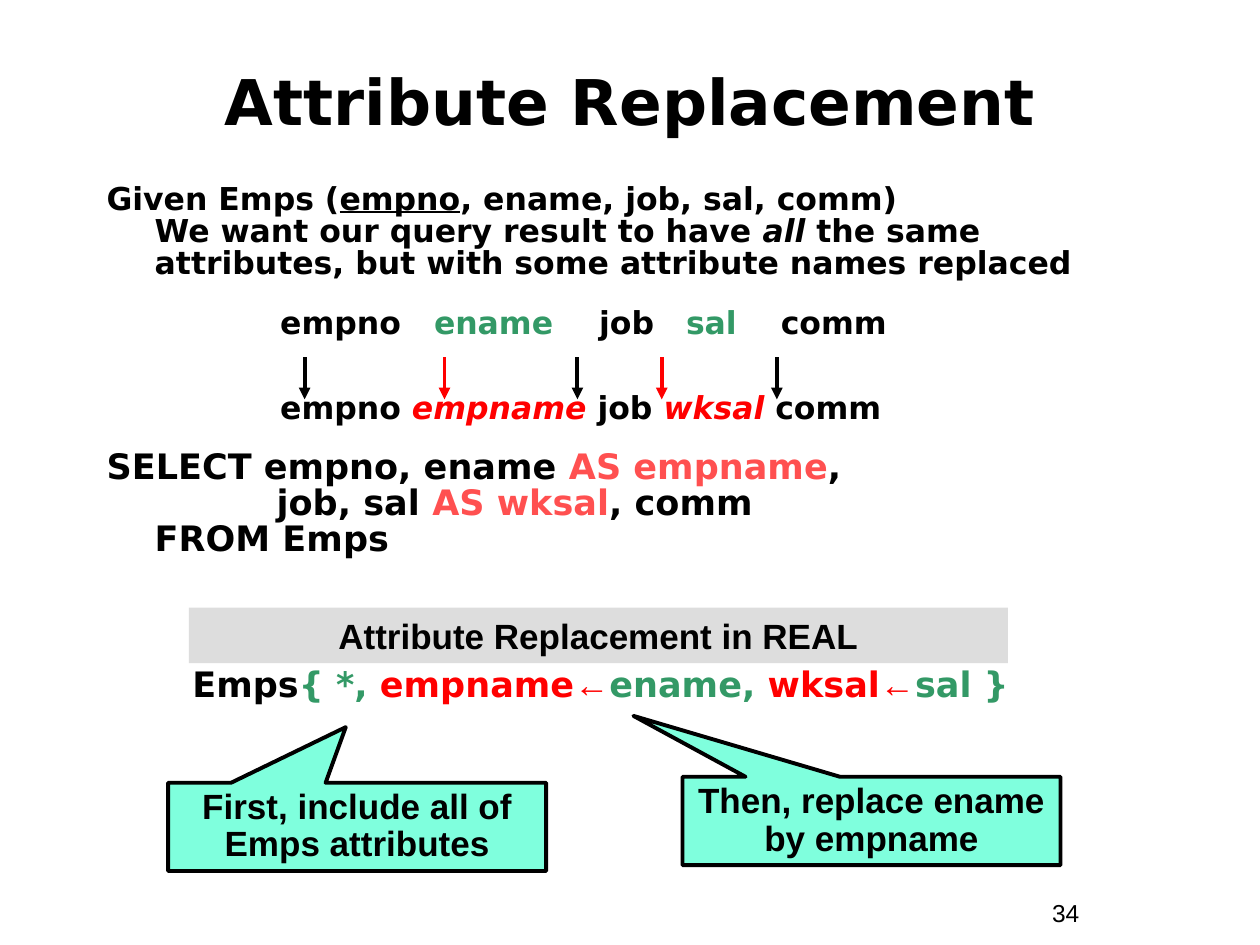
from pptx import Presentation
from pptx.dml.color import RGBColor
from pptx.enum.shapes import MSO_CONNECTOR, MSO_SHAPE
from pptx.enum.text import MSO_ANCHOR, PP_ALIGN
from pptx.oxml.ns import qn
from pptx.util import Cm, Pt
from lxml.etree import SubElement

BLACK = RGBColor(0x00, 0x00, 0x00)
GREEN = RGBColor(0x33, 0x99, 0x66)
RED = RGBColor(0xFF, 0x00, 0x00)
CORAL = RGBColor(0xFF, 0x50, 0x50)
MINT = RGBColor(0x7F, 0xFF, 0xDD)
GRAY = RGBColor(0xDD, 0xDD, 0xDD)
SANS, ARIAL = "DejaVu Sans", "Arial"


def write(shape, *runs, size=18, font=SANS, bold=True, align=PP_ALIGN.LEFT,
          anchor=MSO_ANCHOR.TOP, space=0.85, hang=0, tabs=()):
    """Fill a shape with one paragraph; a run is text or (text, changes)."""
    frame = shape.text_frame
    frame.word_wrap = True
    frame.vertical_anchor = anchor
    para = frame.paragraphs[0]
    para.alignment = align
    para.line_spacing = space
    props = para._p.get_or_add_pPr()
    if hang:
        props.set("marL", str(Cm(hang)))
        props.set("indent", str(-Cm(hang)))
    if tabs:
        stops = SubElement(props, qn("a:tabLst"))
        for stop in tabs:
            SubElement(stops, qn("a:tab"), pos=str(Cm(stop)), algn="l")
    for item in runs:
        text, look = (item, {}) if isinstance(item, str) else item
        for i, line in enumerate(text.split("\n")):
            if i:
                para.add_line_break()
            if not line:
                continue
            run = para.add_run()
            run.text = line
            run.font.size = Pt(size)
            run.font.bold = bold
            run.font.name = look.get("font", font)
            run.font.italic = look.get("italic", False)
            run.font.underline = look.get("under", False)
            run.font.color.rgb = look.get("color", BLACK)


def add_box(left, top, width, height, kind=None, fill=None):
    """Add a text box, or a filled shape without line when a kind is given."""
    place = Cm(left), Cm(top), Cm(width), Cm(height)
    if kind is None:
        return shapes.add_textbox(*place)
    box = shapes.add_shape(kind, *place)
    box.shadow.inherit = False
    box.fill.solid()
    box.fill.fore_color.rgb = fill
    box.line.fill.background()
    return box


deck = Presentation()
deck.slide_width, deck.slide_height = Cm(25.4), Cm(19.05)
slide = deck.slides.add_slide(deck.slide_layouts[6])
shapes = slide.shapes

green, red, coral = ({"color": c} for c in (GREEN, RED, CORAL))
new = {"color": RED, "italic": True}
arrow = {"color": RED, "font": ARIAL}

# Title and page number
write(add_box(0.85, 0.85, 23.7, 2.33), "Attribute Replacement", size=36,
      align=PP_ALIGN.CENTER, anchor=MSO_ANCHOR.MIDDLE, space=1)
write(add_box(20.96, 17.98, 2.33, 0.86), "34", size=14, font=ARIAL,
      bold=False, space=1)

# Task
write(add_box(1.9, 3.6, 21.6, 2.3), "Given Emps (", ("empno", {"under": True}),
      ", ename, job, sal, comm)\nWe want our query result to have ",
      ("all", {"italic": True}),
      " the same attributes, but with some attribute names replaced", hang=0.97)

# Old and new names
write(add_box(5.4, 6.1, 14, 0.9), "empno\t", ("ename", green), "\tjob\t",
      ("sal", green), "\tcomm", tabs=(3.1, 6.43, 8.18, 10.09))
write(add_box(5.4, 7.82, 14, 0.9), "empno ", ("empname", new), " job ",
      ("wksal", new), " comm")

# Query
write(add_box(1.9, 8.97, 21.6, 2.5), "SELECT empno, ename ",
      ("AS empname", coral), ",\n          job, sal ", ("AS wksal", coral),
      ", comm\nFROM Emps", size=20, hang=0.97)

# Short form
write(add_box(3.81, 12.25, 16.51, 1.12, MSO_SHAPE.RECTANGLE, GRAY),
      "Attribute Replacement in REAL", size=20, font=ARIAL,
      align=PP_ALIGN.CENTER, anchor=MSO_ANCHOR.MIDDLE, space=1)
write(add_box(3.63, 13.36, 18, 1), "Emps", ("{ *, ", green),
      ("empname", red), ("←", arrow), ("ename, ", green),
      ("wksal", red), ("←", arrow), ("sal }", green), size=20)

# Arrows from old to new names
for x, color in ((6.14, BLACK), (8.96, RED), (11.64, BLACK), (13.34, RED),
                 (15.66, BLACK)):
    line = shapes.add_connector(MSO_CONNECTOR.STRAIGHT,
                                Cm(x), Cm(7.2), Cm(x), Cm(8.05))
    line.line.color.rgb = color
    line.line.width = Pt(2.25)
    SubElement(line.line._get_or_add_ln(), qn("a:tailEnd"), type="triangle")
    SubElement(line._element.spPr, qn("a:effectLst"))

# Callouts
for left, top, tip, text in (
        (13.76, 15.66, (-0.63, -1.19), "Then, replace ename by empname"),
        (3.39, 15.78, (-0.03, -1.13), "First, include all of Emps attributes")):
    note = add_box(left, top, 7.62, 1.78, MSO_SHAPE.RECTANGULAR_CALLOUT, MINT)
    note.adjustments[0], note.adjustments[1] = tip
    note.line.color.rgb = BLACK
    note.line.width = Pt(2.25)
    write(note, text, size=20, font=ARIAL, align=PP_ALIGN.CENTER, space=0.9)

deck.save("out.pptx")
